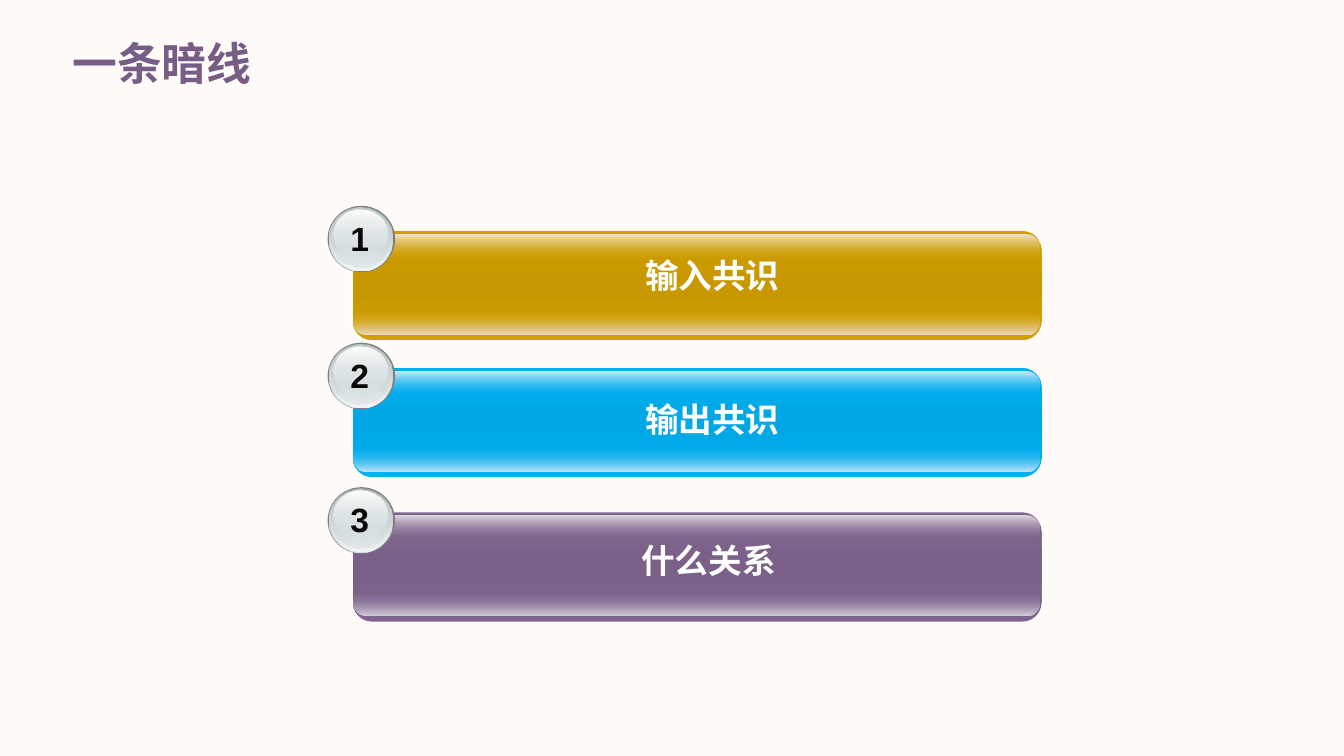
from lxml.etree import SubElement
from pptx import Presentation
from pptx.dml.color import RGBColor
from pptx.enum.shapes import MSO_SHAPE
from pptx.enum.text import MSO_ANCHOR, MSO_AUTO_SIZE, PP_ALIGN
from pptx.oxml.ns import qn
from pptx.util import Inches, Pt

COLS, ROWS = 160, 90
BAR = (42, 82, 13)
GLOSS = (42.1, 81.7, 3.1)
DISCS = [
    ((39, -3, 8.04, 7.92), ["808080"]),
    ((39.12, -2.88, 7.7, 7.7), ["99A1A2", "D6E1E2"]),
    ((39.24, -2.85, 7.44, 7.56), [("D6E1E2", 0), "F2F5F5"]),
    ((39.36, -2.76, 7.08, 7.08), ["C1CBCC", ("D6E1E2", 48)]),
    ((39.72, -2.6, 6.36, 5.64), ["FFFFFF", ("D6E1E2", 38)]),
]
ITEMS = [
    ("输入共识", "Arial", 27.5, 2.28, 6, "D09E00", "C99800", "F1E5D6", "EDDECA"),
    ("输出共识", "Arial", 43.8, 3.12, 9.24, "00B0F0", "00A7E4", "D6E9FA", "CAE3F9"),
    ("什么关系 ", "Calibri", 61, 2.64, 6, "7F648E", "7B6189", "DFDBE1", "D6D1DA"),
]


def tone(code):
    return RGBColor.from_string(code)


def adorn(item, style):
    for key, value in style.items():
        setattr(item, key, value)


class Deck:
    font = {"name": "Arial", "size": Pt(24), "bold": True}
    frame = {"word_wrap": True, "auto_size": MSO_AUTO_SIZE.SHAPE_TO_FIT_TEXT}

    def __init__(self):
        self.show = Presentation()
        self.show.slide_width = Inches(13.33)
        self.show.slide_height = Inches(7.5)
        self.slide = self.show.slides.add_slide(self.show.slide_layouts[5])
        fill = self.slide.background.fill
        fill.solid()
        fill.fore_color.rgb = tone("FEFBF9")

    def box(self, x, y, w, h):
        wide, high = self.show.slide_width, self.show.slide_height
        return [int(wide * x / COLS), int(high * y / ROWS),
                int(wide * w / COLS), int(high * h / ROWS)]

    def words(self, frame, text, ink, look, **extra):
        adorn(frame, self.frame | look)
        part = frame.paragraphs[0]
        run = part.add_run()
        run.text = text
        adorn(run.font, self.font | extra)
        run.font.color.rgb = tone(ink)
        return part

    def title(self, text, area):
        item = self.slide.shapes.title
        adorn(item, dict(zip(("left", "top", "width", "height"), self.box(*area))))
        look = {"auto_size": MSO_AUTO_SIZE.NONE, "vertical_anchor": MSO_ANCHOR.BOTTOM}
        part = self.words(item.text_frame, text, "775D85", look, size=Pt(32))
        adorn(part, {"alignment": PP_ALIGN.LEFT, "line_spacing": 0.9})

    def label(self, text, area, ink, **extra):
        item = self.slide.shapes.add_textbox(*self.box(*area))
        part = self.words(item.text_frame, text, ink, {}, **extra)
        part.alignment = PP_ALIGN.CENTER

    def shape(self, kind, area, stops, bend=None):
        item = self.slide.shapes.add_shape(kind, *self.box(*area))
        item.shadow.inherit = False
        item.line.fill.background()
        if bend:
            item.adjustments[0] = bend
        if len(stops) == 1:
            item.fill.solid()
            item.fill.fore_color.rgb = tone(stops[0])
        else:
            self.blend(item, stops)

    def blend(self, item, stops):
        item.fill.gradient()
        item.fill.gradient_angle = 270
        root = next(item.element.iter(qn("a:gsLst")))
        for old in list(root):
            root.remove(old)
        for index, stop in enumerate(stops):
            code, alpha = (stop, 100) if isinstance(stop, str) else stop
            place = index * 100000 // (len(stops) - 1)
            node = SubElement(root, qn("a:gs"), pos=str(place))
            color = SubElement(node, qn("a:srgbClr"), val=str(tone(code)))
            if alpha < 100:
                SubElement(color, qn("a:alpha"), val=str(alpha * 1000))

    def bar(self, top, base, core, upper, lower):
        left, wide, high = BAR
        self.shape(MSO_SHAPE.ROUNDED_RECTANGLE, (left, top, wide, high),
                   [base, core, base], 0.175)
        left, wide, high = GLOSS
        for drop, stops in ((9.24, [(base, 0), lower]), (0.4, [upper, (base, 0)])):
            self.shape(MSO_SHAPE.ROUNDED_RECTANGLE,
                       (left, top + drop, wide, high), stops, 0.5)

    def badge(self, top, text):
        for (x, y, w, h), stops in DISCS:
            self.shape(MSO_SHAPE.OVAL, (x, top + y, w, h), stops)
        self.label(text, (40.3, top - 2.16, 5.04, 6), "080808")


def main():
    deck = Deck()
    deck.title("一条暗线", (7.4, 2.16, 144.1, 9.24))
    for count, (text, face, top, drop, high, *hues) in enumerate(ITEMS, 1):
        deck.bar(top, *hues)
        deck.badge(top, str(count))
        deck.label(text, (47.8, top + drop, 74, high), "FEFFFF", name=face)
    deck.show.save("out.pptx")


if __name__ == "__main__":
    main()
